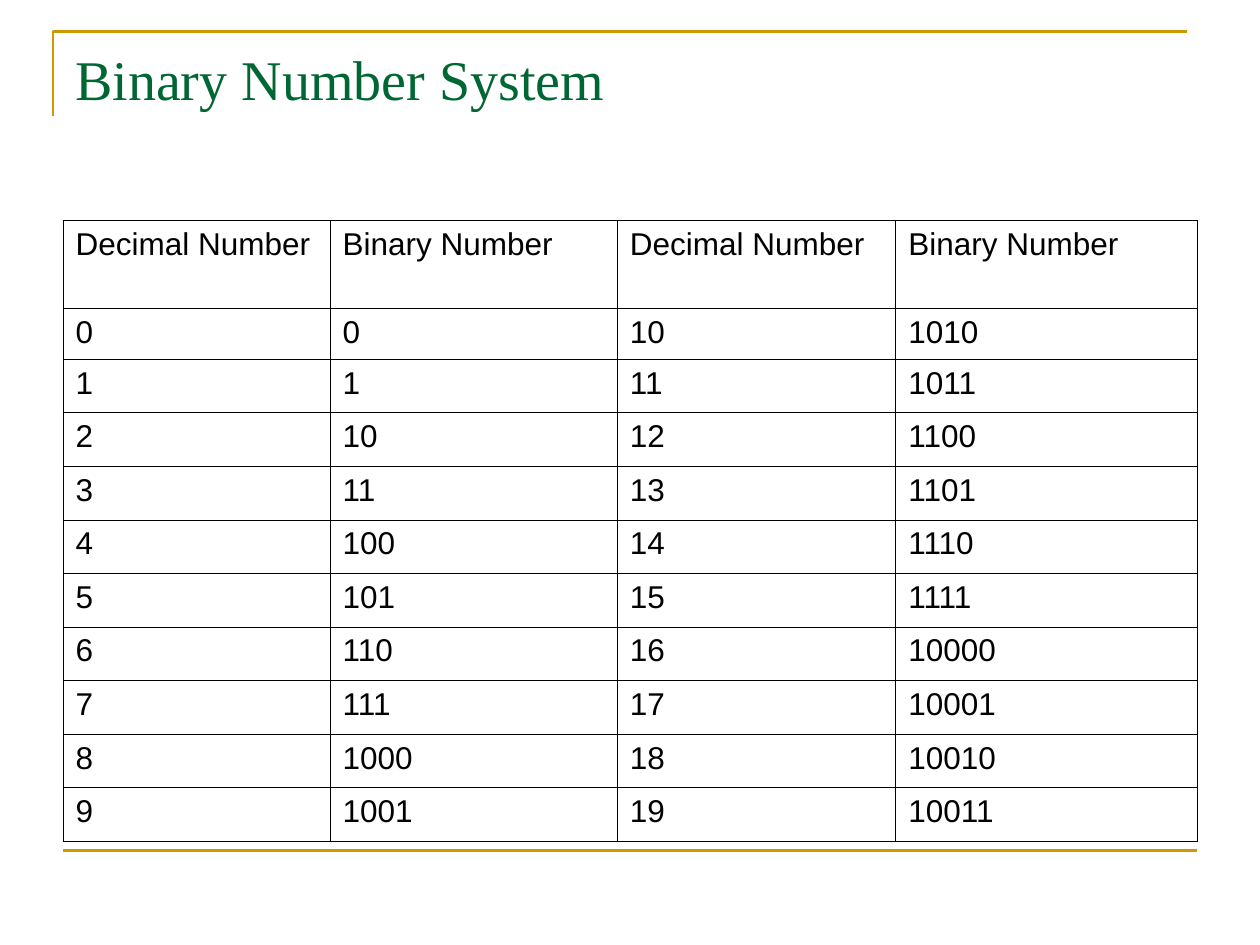
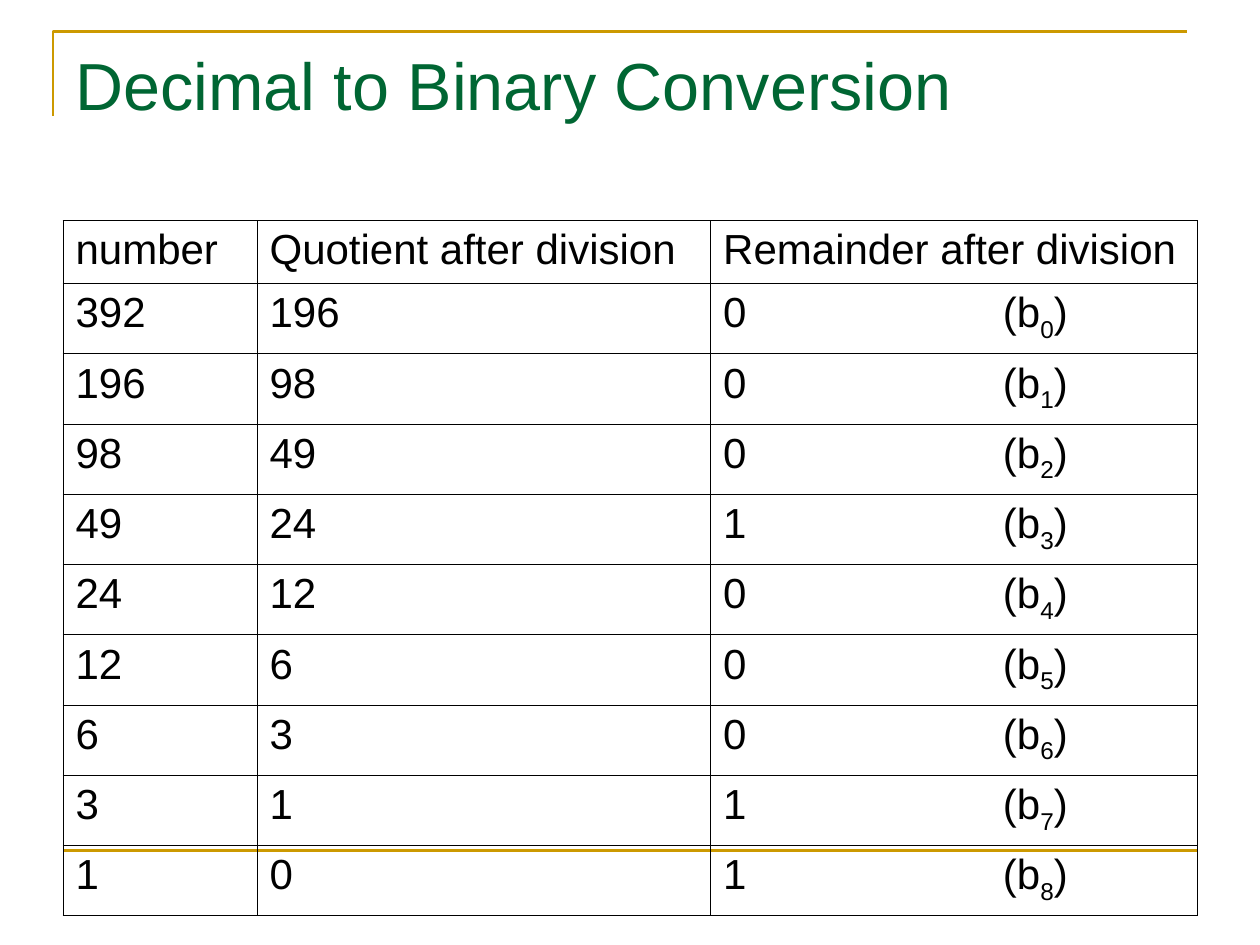
"""Build two slides on binary numbers and decimal to binary conversion."""
from lxml import etree
from pptx import Presentation
from pptx import util as u
from pptx.dml import color
from pptx.enum import shapes
from pptx.oxml import ns

COLOURS = {"title": "006633", "rule": "CC9900", "ink": "000000"}
LEFT, WIDTH = 0.5, 9


class Builder:
    """Hold the shared style and the current slide."""

    def __init__(self):
        """Start a deck of 10 by 7.5 inches."""
        self.deck = Presentation()
        self.deck.slide_width = u.Inches(10)
        self.deck.slide_height = u.Inches(7.5)
        self.page = None

    def colour(self, name):
        """Return a named colour."""
        return color.RGBColor.from_string(COLOURS[name])

    def start_page(self):
        """Add a slide with the corner bracket and the bottom rule."""
        self.page = self.deck.slides.add_slide(self.deck.slide_layouts[6])
        self.bracket()
        self.bottom_rule()

    def style_rule(self, shape):
        """Give a decorative line its colour and width."""
        shape.line.color.rgb = self.colour("rule")
        shape.line.width = u.Pt(1.5)

    def bracket(self):
        """Draw the open corner around the title."""
        outline = self.page.shapes.build_freeform(u.Inches(0.42), u.Inches(0.92))
        corner = [(u.Inches(0.42), u.Inches(0.25)), (u.Inches(9.42), u.Inches(0.25))]
        outline.add_line_segments(corner, close=False)
        shape = outline.convert_to_shape()
        shape.shadow.inherit = False
        shape.fill.background()
        self.style_rule(shape)

    def bottom_rule(self):
        """Draw the rule at the foot of the slide."""
        line = self.page.shapes.add_connector(
            shapes.MSO_CONNECTOR.STRAIGHT, u.Inches(LEFT), u.Inches(6.75),
            u.Inches(LEFT + WIDTH), u.Inches(6.75))
        self.style_rule(line)
        etree.SubElement(line._element.spPr, ns.qn("a:effectLst"))

    def style_text(self, para, font, size, name):
        """Set the font of a whole paragraph."""
        para.font.name = font
        para.font.size = u.Pt(size)
        para.font.color.rgb = self.colour(name)

    def title(self, words, font, size):
        """Write the slide title."""
        box = self.page.shapes.add_textbox(
            u.Inches(LEFT), u.Inches(0.3), u.Inches(WIDTH), u.Inches(1.25))
        box.text_frame.word_wrap = True
        para = box.text_frame.paragraphs[0]
        para.add_run().text = words
        self.style_text(para, font, size, "title")

    def table(self, rows, widths, lead_heights, height, size, tab=None):
        """Draw a ruled table whose rows after the lead rows are equal."""
        frame = self.page.shapes.add_table(
            len(rows), len(widths), u.Inches(LEFT), u.Inches(1.75),
            u.Inches(WIDTH), u.Inches(height))
        grid = frame.table
        grid.first_row = grid.horz_banding = False
        for column, width in zip(grid.columns, widths):
            column.width = u.Inches(width)
        others = len(rows) - len(lead_heights)
        equal = (height - sum(lead_heights)) / others
        for row, row_height in zip(grid.rows, lead_heights + [equal] * others):
            row.height = u.Inches(row_height)
        for row, values in zip(grid.rows, rows):
            for cell, value in zip(row.cells, values):
                self.border(cell)
                cell.fill.background()
                self.fill_cell(cell, value, size, tab)

    def border(self, cell):
        """Draw thin lines on all four sides of a cell."""
        props = cell._tc.get_or_add_tcPr()
        for side in ("lnL", "lnR", "lnT", "lnB"):
            line = etree.SubElement(props, ns.qn(f"a:{side}"), w=str(u.Pt(0.45)))
            fill = etree.SubElement(line, ns.qn("a:solidFill"))
            etree.SubElement(fill, ns.qn("a:srgbClr"), val=COLOURS["ink"])

    def fill_cell(self, cell, value, size, tab):
        """Write plain text, or a (digit, index) pair as a digit and its bit."""
        para = cell.text_frame.paragraphs[0]
        if isinstance(value, tuple):
            digit, index = value
            stops = etree.SubElement(para._p.get_or_add_pPr(), ns.qn("a:tabLst"))
            etree.SubElement(stops, ns.qn("a:tab"), pos=str(u.Inches(tab)), algn="l")
            para.add_run().text = f"{digit}\t(b"
            span = para.add_run()
            span.text = str(index)
            span._r.get_or_add_rPr().set("baseline", "-25000")
            para.add_run().text = ")"
        else:
            para.add_run().text = str(value)
        self.style_text(para, "Arial", size, "ink")


def counting_rows():
    """List 0 to 9 beside 10 to 19, each with its binary form."""
    pairs = [(n, n + 10) for n in range(10)]
    header = ["Decimal Number", "Binary Number"] * 2
    return [header] + [[a, f"{a:b}", b, f"{b:b}"] for a, b in pairs]


def division_rows(number):
    """List the repeated divisions of a number by two."""
    rows = [["number", "Quotient after division", "Remainder after division"]]
    while number:
        quotient, remainder = divmod(number, 2)
        rows.append([number, quotient, (remainder, len(rows) - 1)])
        number = quotient
    return rows


def main():
    """Build and save the deck."""
    builder = Builder()

    builder.start_page()
    builder.title("Binary Number System", "Times New Roman", 32)
    builder.table(counting_rows(), [2.12, 2.28, 2.21, 2.39], [0.7, 0.4], 4.93, 18)

    builder.start_page()
    builder.title("Decimal to Binary Conversion", "Arial", 38)
    builder.table(division_rows(392), [1.54, 3.6, 3.86], [0.5], 5.52, 24, tab=2.22)

    builder.deck.save("out.pptx")


if __name__ == "__main__":
    main()
